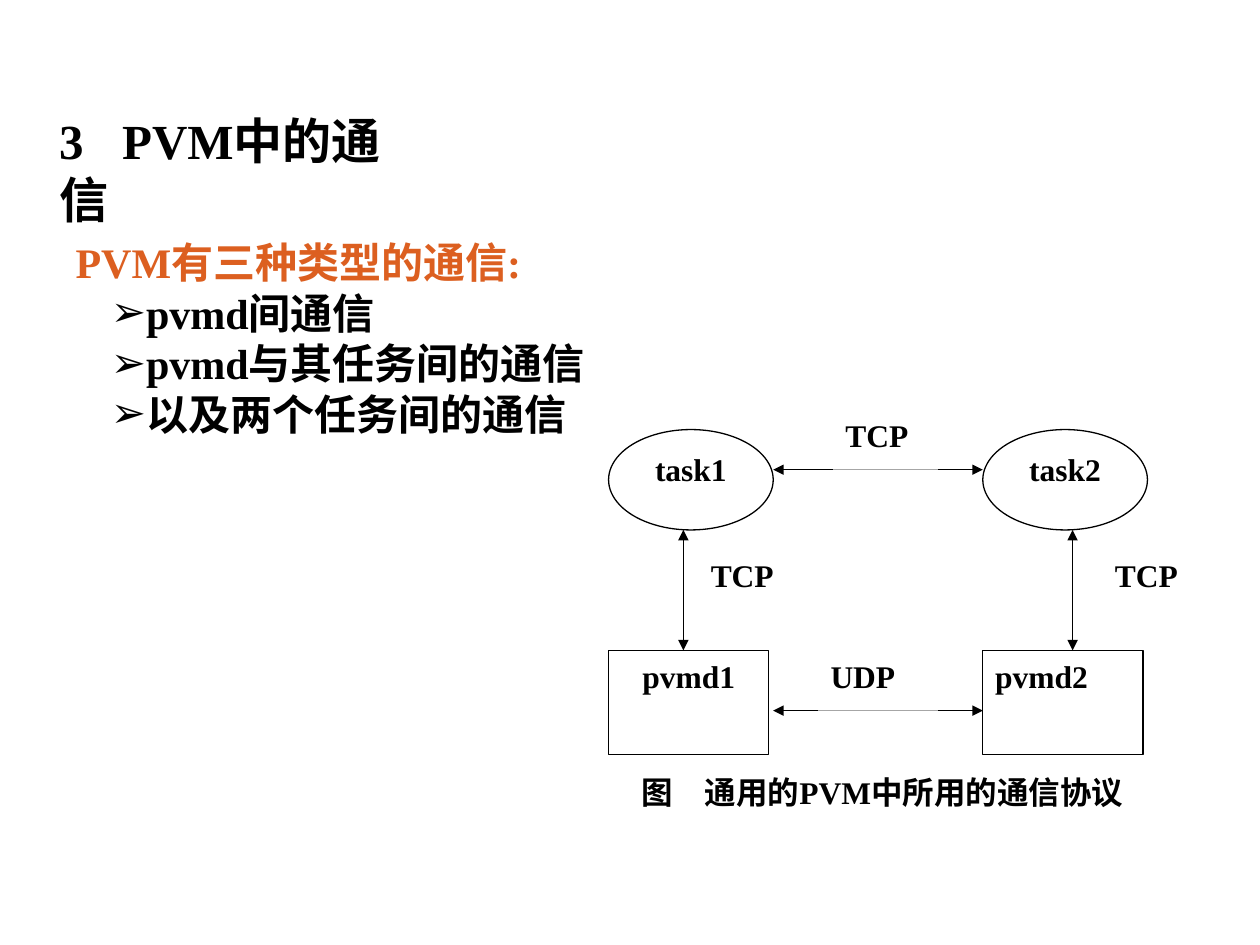
from typing import NamedTuple, Optional

import pptx
import pptx.dml.color
import pptx.enum.shapes
import pptx.enum.text
import pptx.oxml.ns
import pptx.util
from lxml import etree

BLACK = pptx.dml.color.RGBColor(0x00, 0x00, 0x00)
WHITE = pptx.dml.color.RGBColor(0xFF, 0xFF, 0xFF)
ORANGE = pptx.dml.color.RGBColor(0xDC, 0x5F, 0x20)
FONT = "Times New Roman"
LINE_WIDTH = pptx.util.Pt(0.75)

LEFT = pptx.enum.text.PP_ALIGN.LEFT
CENTER = pptx.enum.text.PP_ALIGN.CENTER
OVAL = pptx.enum.shapes.MSO_SHAPE.OVAL
RECTANGLE = pptx.enum.shapes.MSO_SHAPE.RECTANGLE

# Grid of the diagram: 25 columns between the nodes, 15 rows down to the UDP arrow
ORIGIN_X, ORIGIN_Y = 4.83, 3.25
COLUMN = 2.97 / 25
ROW = 2.39 / 15


class Node(NamedTuple):
    text: str
    outline: int
    column: float
    row: float
    columns: float
    rows: float
    align: int = CENTER


class Arrow(NamedTuple):
    column: float
    row: float
    end_column: float
    end_row: float


class Label(NamedTuple):
    text: str
    column: float
    row: float
    columns: float
    tab: Optional[float] = None


NODES = [
    Node("task1", OVAL, 0, 1, 11, 5),
    Node("pvmd1", RECTANGLE, 0, 12, 10.7, 5.2),
    Node("task2", OVAL, 25, 1, 11, 5),
    Node("pvmd2", RECTANGLE, 25, 12, 10.7, 5.2, LEFT),
]
ARROWS = [
    Arrow(11, 3, 25, 3),
    Arrow(5, 6, 5, 12),
    Arrow(31, 6, 31, 12),
    Arrow(11, 15, 25, 15),
]
LABELS = [
    Label("UDP", 14, 12, 8),
    Label("TCP", 6, 7, 7),
    Label("TCP", 33, 7, 7),
    Label("TCP", 15, 0, 7),
    Label("图\t通用的PVM中所用的通信协议", 1.4, 17.8, 34.4, tab=0.42),
]
COMMUNICATION_TYPES = ["pvmd间通信", "pvmd与其任务间的通信", "以及两个任务间的通信"]


def grid_x(column: float) -> int:
    return pptx.util.Inches(ORIGIN_X + column * COLUMN)


def grid_y(row: float) -> int:
    return pptx.util.Inches(ORIGIN_Y + row * ROW)


def grid_box(column: float, row: float, columns: float, rows: float) -> tuple:
    left, top = grid_x(column), grid_y(row)
    return left, top, grid_x(column + columns) - left, grid_y(row + rows) - top


def add_child(parent, tag: str, **attributes):
    return etree.SubElement(parent, pptx.oxml.ns.qn(tag), attributes)


def write(paragraph, text: str, size: float = 18, color=BLACK, align=LEFT,
          margin: float = 0, hanging: float = 0, bullet: Optional[str] = None,
          tab: Optional[float] = None) -> None:
    """Fill a paragraph; margin, hanging and tab are in inches."""
    properties = paragraph._p.get_or_add_pPr()
    properties.set("marL", str(pptx.util.Inches(margin)))
    properties.set("indent", str(-pptx.util.Inches(hanging)))
    if bullet:
        add_child(properties, "a:buChar", char=bullet)
    else:
        add_child(properties, "a:buNone")
    if tab is not None:
        stops = add_child(properties, "a:tabLst")
        add_child(stops, "a:tab", pos=str(pptx.util.Inches(tab)), algn="l")
    paragraph.alignment = align
    paragraph.space_before = pptx.util.Pt(0)
    run = paragraph.add_run()
    run.text = text
    run.font.name = FONT
    run.font.size = pptx.util.Pt(size)
    run.font.bold = True
    run.font.color.rgb = color


def prepare_frame(shape, wrap: bool = True):
    frame = shape.text_frame
    frame.word_wrap = wrap
    frame.auto_size = pptx.enum.text.MSO_AUTO_SIZE.NONE
    frame.vertical_anchor = pptx.enum.text.MSO_ANCHOR.TOP
    return frame


def place(shape, left: float, top: float, width: float, height: float) -> None:
    shape.left, shape.top = pptx.util.Inches(left), pptx.util.Inches(top)
    shape.width, shape.height = pptx.util.Inches(width), pptx.util.Inches(height)


def fill_white(shape) -> None:
    shape.fill.solid()
    shape.fill.fore_color.rgb = WHITE


def draw_node(slide, node: Node) -> None:
    box = grid_box(node.column, node.row, node.columns, node.rows)
    shape = slide.shapes.add_shape(node.outline, *box)
    shape.shadow.inherit = False
    fill_white(shape)
    shape.line.color.rgb = BLACK
    shape.line.width = LINE_WIDTH
    write(prepare_frame(shape).paragraphs[0], node.text, align=node.align)


def draw_arrow(slide, arrow: Arrow) -> None:
    """Draw a line with a head at both ends."""
    connector = slide.shapes.add_connector(
        pptx.enum.shapes.MSO_CONNECTOR.STRAIGHT,
        grid_x(arrow.column), grid_y(arrow.row),
        grid_x(arrow.end_column), grid_y(arrow.end_row))
    connector.line.color.rgb = BLACK
    connector.line.width = LINE_WIDTH
    line = connector.line._get_or_add_ln()
    for end in ("a:headEnd", "a:tailEnd"):
        add_child(line, end, type="triangle")
    add_child(connector._element.spPr, "a:effectLst")


def draw_label(slide, label: Label) -> None:
    box = grid_box(label.column, label.row, label.columns, 3)
    shape = slide.shapes.add_textbox(*box)
    fill_white(shape)
    write(prepare_frame(shape).paragraphs[0], label.text, tab=label.tab)


def main() -> None:
    presentation = pptx.Presentation()
    presentation.slide_width = pptx.util.Inches(10)
    presentation.slide_height = pptx.util.Inches(7.5)
    slide = presentation.slides.add_slide(presentation.slide_layouts[1])

    for node in NODES:
        draw_node(slide, node)
    for arrow in ARROWS:
        draw_arrow(slide, arrow)
    for label in LABELS:
        draw_label(slide, label)

    title, body = slide.shapes.title, slide.placeholders[1]
    place(title, 0.37, 0.83, 3.12, 0.57)
    write(prepare_frame(title, wrap=False).paragraphs[0], "3\tPVM中的通信",
          size=28, tab=0.39)

    place(body, 0.5, 1.83, 4.5, 2.5)
    frame = prepare_frame(body)
    write(frame.paragraphs[0], "PVM有三种类型的通信:", size=24, color=ORANGE)
    for communication in COMMUNICATION_TYPES:
        paragraph = frame.add_paragraph()
        paragraph.level = 1
        write(paragraph, communication, size=24, margin=0.54, hanging=0.26, bullet="➢")

    presentation.save("out.pptx")


if __name__ == "__main__":
    main()
